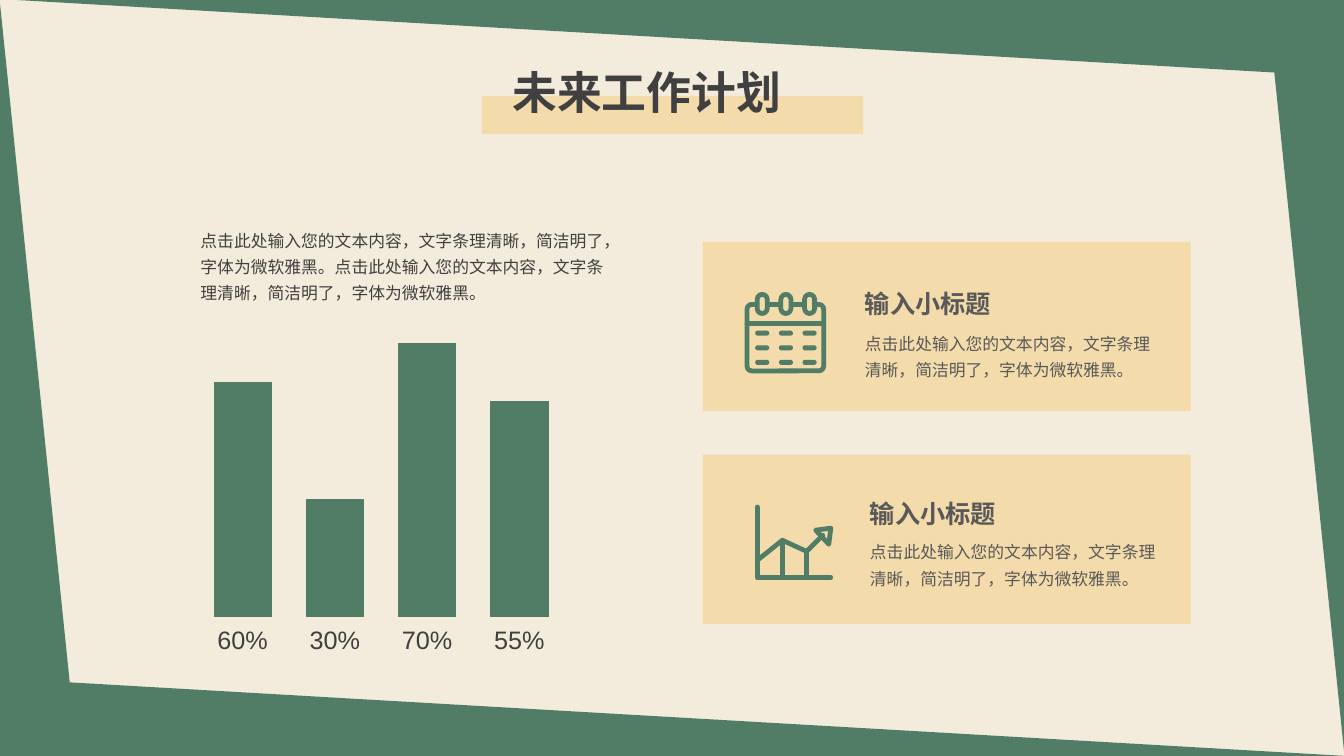
from dataclasses import dataclass

from lxml import etree
from pptx import Presentation
from pptx import util as u
from pptx.chart import data as chart_data
from pptx.dml.color import RGBColor
from pptx.enum import chart as ch
from pptx.enum import shapes as sh
from pptx.enum import text as tx
from pptx.oxml import parse_xml
from pptx.oxml.ns import nsdecls, qn

GREEN = RGBColor(0x51, 0x7D, 0x66)
CREAM = RGBColor(0xF3, 0xEC, 0xDC)
SAND = RGBColor(0xF3, 0xDB, 0xAB)
DARK = RGBColor(0x40, 0x40, 0x40)
GREY = RGBColor(0x59, 0x59, 0x59)
CJK_FONT = "Noto Sans CJK SC"
STROKE = u.Pt(3.4)

SENTENCE = "点击此处输入您的文本内容，文字条理清晰，简洁明了，字体为微软雅黑。"


@dataclass(frozen=True)
class Box:
    left: float
    top: float
    width: float
    height: float

    def lengths(self) -> list[u.Length]:
        return [u.Inches(v) for v in (self.left, self.top, self.width, self.height)]


@dataclass(frozen=True)
class Edge:
    box: Box
    rotation: int
    flipped: bool


@dataclass(frozen=True)
class Card:
    top: float
    text_left: float
    heading_top: float
    body_top: float


EDGES = [
    Edge(Box(-0.01, -0.01, 13.35, 0.77), 180, False),
    Edge(Box(9.2, 3.36, 7.5, 0.77), 90, True),
    Edge(Box(0, 6.73, 13.35, 0.77), 0, False),
    Edge(Box(-3.37, 3.35, 7.5, 0.77), 270, True),
]
CARDS = [Card(2.4, 8.48, 2.66, 3.2), Card(4.51, 8.53, 4.74, 5.27)]
PLAN_SHARES = [0.6, 0.3, 0.7, 0.55]


def add_filled(shapes, kind, box: Box, color: RGBColor):
    shape = shapes.add_shape(kind, *box.lengths())
    shape.shadow.inherit = False
    shape.fill.solid()
    shape.fill.fore_color.rgb = color
    shape.line.fill.background()
    return shape


def outline(shape) -> None:
    shape.line.color.rgb = GREEN
    shape.line.width = STROKE
    ln = shape.element.spPr.find(qn("a:ln"))
    ln.set("cap", "rnd")
    etree.SubElement(ln, qn("a:round"))


def add_stroke(shapes, points: list[tuple[float, float]], close: bool = False) -> None:
    corners = [(u.Inches(x), u.Inches(y)) for x, y in points]
    builder = shapes.build_freeform(*corners[0])
    builder.add_line_segments(corners[1:], close=close)
    stroke = builder.convert_to_shape()
    stroke.shadow.inherit = False
    stroke.fill.background()
    outline(stroke)


def add_line(shapes, x1: float, y1: float, x2: float, y2: float) -> None:
    ends = [u.Inches(v) for v in (x1, y1, x2, y2)]
    line = shapes.add_connector(sh.MSO_CONNECTOR.STRAIGHT, *ends)
    outline(line)
    etree.SubElement(line.element.spPr, qn("a:effectLst"))


def write(frame, wording: str, size: int, color: RGBColor,
          spacing: float = 1.0, bold: bool = False) -> None:
    frame.word_wrap = True
    paragraph = frame.paragraphs[0]
    paragraph.line_spacing = spacing
    run = paragraph.add_run()
    run.text = wording
    run.font.size = u.Pt(size)
    run.font.bold = bold
    run.font.color.rgb = color
    run.font.name = CJK_FONT
    east_asian = etree.SubElement(run.font._element, qn("a:ea"))
    east_asian.set("typeface", CJK_FONT)


def add_text(shapes, box: Box, wording: str, size: int, color: RGBColor,
             spacing: float, bold: bool = False) -> None:
    frame = shapes.add_textbox(*box.lengths()).text_frame
    write(frame, wording, size, color, spacing, bold)


def add_edge(shapes, edge: Edge) -> None:
    triangle = add_filled(shapes, sh.MSO_SHAPE.RIGHT_TRIANGLE, edge.box, GREEN)
    triangle.rotation = edge.rotation
    if edge.flipped:
        triangle.element.spPr.find(qn("a:xfrm")).set("flipV", "1")


def add_card(shapes, card: Card) -> None:
    add_filled(shapes, sh.MSO_SHAPE.RECTANGLE, Box(6.97, card.top, 4.84, 1.68), SAND)
    add_text(shapes, Box(card.text_left, card.heading_top, 2.87, 0.56),
             "输入小标题", 18, GREY, 1.5, True)
    add_text(shapes, Box(card.text_left, card.body_top, 3.05, 0.63),
             SENTENCE, 12, GREY, 1.3)


def add_calendar_icon(shapes) -> None:
    icon = shapes.add_group_shape().shapes
    rounded = sh.MSO_SHAPE.ROUNDED_RECTANGLE
    columns = [7.56 + 0.235 * i for i in range(3)]
    body = add_filled(icon, rounded, Box(7.41, 3.02, 0.76, 0.66), SAND)
    body.adjustments[0] = 0.07
    outline(body)
    add_line(icon, 7.41, 3.21, 8.17, 3.21)
    for center in columns:
        ring = add_filled(icon, rounded, Box(center - 0.05, 2.92, 0.1, 0.19), SAND)
        ring.adjustments[0] = 0.5
        outline(ring)
        for row in range(3):
            day = Box(center - 0.07, 3.28 + 0.145 * row, 0.14, 0.05)
            add_filled(icon, rounded, day, GREEN).adjustments[0] = 0.5


def add_trend_icon(shapes) -> None:
    icon = shapes.add_group_shape().shapes
    add_stroke(icon, [(7.51, 5.03), (7.51, 5.73), (8.24, 5.73)])
    add_stroke(icon, [(7.51, 5.56), (7.76, 5.36), (8, 5.47), (8.16, 5.31)])
    add_stroke(icon, [(8.24, 5.24), (8.09, 5.26), (8.22, 5.4)], close=True)
    add_line(icon, 7.76, 5.36, 7.76, 5.73)
    add_line(icon, 8, 5.47, 8, 5.73)


def add_plan_chart(shapes) -> None:
    plan = chart_data.CategoryChartData(number_format="0%")
    plan.categories = [f"{share:.0%}" for share in PLAN_SHARES]
    plan.add_series("计划", PLAN_SHARES)
    box = Box(1.95, 3.4, 3.66, 3.2)
    chart = shapes.add_chart(
        ch.XL_CHART_TYPE.COLUMN_CLUSTERED, *box.lengths(), plan).chart
    chart.has_legend = False
    chart.has_title = False
    chart.font.name = "Arial"
    chart.font.size = u.Pt(18)
    chart.font.color.rgb = DARK
    plot = chart.plots[0]
    plot.vary_by_categories = False
    plot.gap_width = 58
    bars = plot.series[0].format.fill
    bars.solid()
    bars.fore_color.rgb = GREEN
    scale = chart.value_axis
    scale.minimum_scale = 0
    scale.maximum_scale = 0.7
    scale.has_major_gridlines = False
    scale.visible = False
    labels = chart.category_axis
    labels.major_tick_mark = ch.XL_TICK_MARK.OUTSIDE
    labels.format.line.fill.background()
    area = chart.element.find(".//" + qn("c:plotArea"))
    for old in area.findall(qn("c:layout")):
        area.remove(old)
    area.insert(0, parse_xml(
        f'<c:layout {nsdecls("c")}><c:manualLayout><c:layoutTarget val="inner"/>'
        '<c:xMode val="edge"/><c:yMode val="edge"/><c:x val="0"/><c:y val="0"/>'
        '<c:w val="1"/><c:h val="0.85"/></c:manualLayout></c:layout>'))


def main() -> None:
    deck = Presentation()
    deck.slide_width, deck.slide_height = u.Inches(13.33), u.Inches(7.5)
    slide = deck.slides.add_slide(deck.slide_layouts[5])
    slide.background.fill.solid()
    slide.background.fill.fore_color.rgb = CREAM
    shapes = slide.shapes
    for edge in EDGES:
        add_edge(shapes, edge)
    add_plan_chart(shapes)
    for card in CARDS:
        add_card(shapes, card)
    add_calendar_icon(shapes)
    add_trend_icon(shapes)
    add_text(shapes, Box(1.89, 2.18, 4.26, 0.86), SENTENCE * 2, 12, DARK, 1.3)
    add_filled(shapes, sh.MSO_SHAPE.RECTANGLE, Box(4.78, 0.95, 3.78, 0.38), SAND)
    title = shapes.title
    title.left, title.top, title.width, title.height = Box(4.98, 0.59, 3.36, 0.64).lengths()
    write(title.text_frame, "未来工作计划", 32, DARK, bold=True)
    title.text_frame.vertical_anchor = tx.MSO_ANCHOR.TOP
    title.text_frame.paragraphs[0].alignment = tx.PP_ALIGN.JUSTIFY
    title.element.getparent().append(title.element)
    deck.save("out.pptx")


if __name__ == "__main__":
    main()
